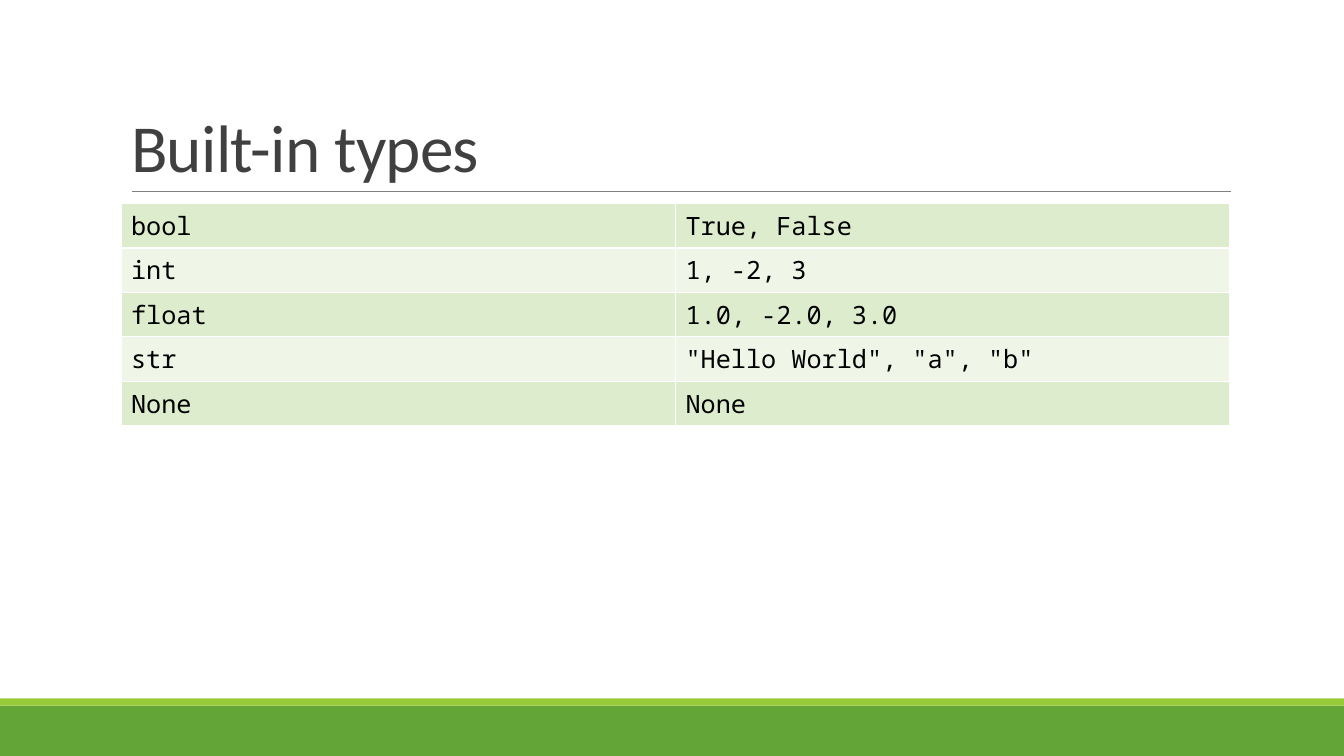
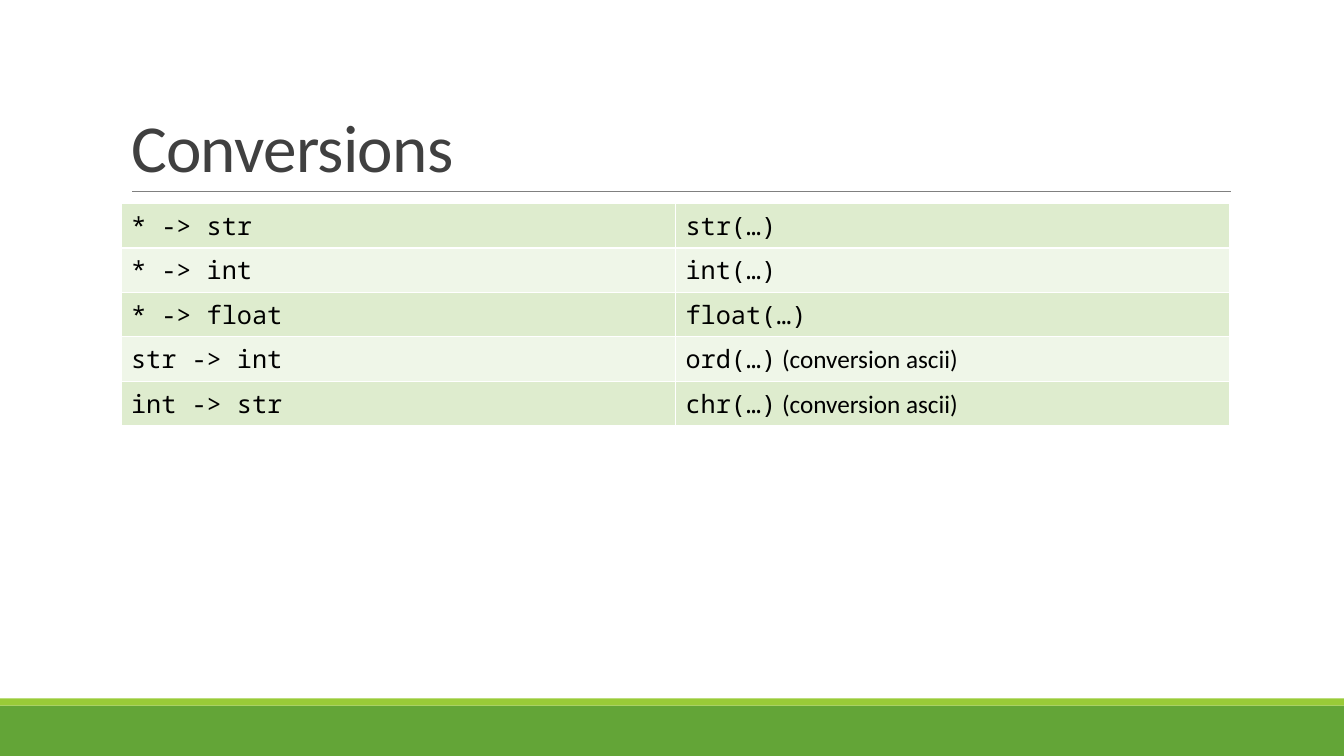
from dataclasses import dataclass
from itertools import product

from lxml.etree import SubElement
from pptx import Presentation
from pptx.dml.color import RGBColor
from pptx.enum.shapes import MSO_CONNECTOR, MSO_SHAPE
from pptx.enum.text import MSO_ANCHOR, MSO_AUTO_SIZE, PP_ALIGN
from pptx.oxml import parse_xml
from pptx.oxml.ns import nsdecls, qn
from pptx.slide import Slide
from pptx.table import _Cell
from pptx.text.text import _Paragraph
from pptx.util import Inches, Pt

COLORS = {
    "footer": "63A537",
    "accent": "99CB38",
    "rule": "808080",
    "title": "404040",
    "text": "000000",
    "row_dark": "DEECCE",
    "row_light": "EFF6E8",
    "border": "FFFFFF",
}
BODY_FONT = "Calibri"
CODE_FONT = "Noto Sans Mono"

SLIDE_WIDTH, SLIDE_HEIGHT = 13.33, 7.5
CONTENT_LEFT, CONTENT_WIDTH = 1.2, 11
TITLE_TOP, TITLE_HEIGHT = 0.31, 1.59
RULE_LEFT, RULE_RIGHT = 1.31, 12.21
RULE_TOP = TITLE_TOP + TITLE_HEIGHT
TABLE_TOP, ROW_HEIGHT = 2.02, 0.41


@dataclass(frozen=True)
class Band:
    top: float
    height: float
    color: str


@dataclass(frozen=True)
class Row:
    left: str
    right: str
    remark: str = ""


@dataclass(frozen=True)
class TableSlide:
    title: str
    rows: tuple[Row, ...]


BANDS = (Band(7, 0.5, "footer"), Band(6.93, 0.07, "accent"))

SLIDES = (
    TableSlide("Built-in types", (
        Row("bool", "True, False"),
        Row("int", "1, -2, 3"),
        Row("float", "1.0, -2.0, 3.0"),
        Row("str", '"Hello World", "a", "b"'),
        Row("None", "None"),
    )),
    TableSlide("Conversions", (
        Row("* -> str", "str(…)"),
        Row("* -> int", "int(…)"),
        Row("* -> float", "float(…)"),
        Row("str -> int", "ord(…)", " (conversion ascii)"),
        Row("int -> str", "chr(…)", " (conversion ascii)"),
    )),
)


def color(name: str) -> RGBColor:
    return RGBColor.from_string(COLORS[name])


def add_text(paragraph: _Paragraph, text: str, *, font: str = CODE_FONT,
             size: float = 18, color_name: str = "text", spacing: float = 0) -> None:
    run = paragraph.add_run()
    run.text = text
    run.font.name = font
    run.font.size = Pt(size)
    run.font.color.rgb = color(color_name)
    if spacing:
        run.font._element.set("spc", str(round(spacing * 100)))


def add_frame(slide: Slide) -> None:
    for band in BANDS:
        shape = slide.shapes.add_shape(
            MSO_SHAPE.RECTANGLE, 0, Inches(band.top), Inches(SLIDE_WIDTH), Inches(band.height))
        shape.shadow.inherit = False
        shape.fill.solid()
        shape.fill.fore_color.rgb = color(band.color)
        shape.line.fill.background()
    rule = slide.shapes.add_connector(
        MSO_CONNECTOR.STRAIGHT, Inches(RULE_LEFT), Inches(RULE_TOP),
        Inches(RULE_RIGHT), Inches(RULE_TOP))
    rule.line.color.rgb = color("rule")
    rule.line.width = Pt(0.5)
    SubElement(rule._element.spPr, qn("a:effectLst"))


def set_title(slide: Slide, text: str) -> None:
    title = slide.shapes.title
    title.left, title.top = Inches(CONTENT_LEFT), Inches(TITLE_TOP)
    title.width, title.height = Inches(CONTENT_WIDTH), Inches(TITLE_HEIGHT)
    frame = title.text_frame
    frame.word_wrap = True
    frame.auto_size = MSO_AUTO_SIZE.NONE
    frame.vertical_anchor = MSO_ANCHOR.BOTTOM
    paragraph = frame.paragraphs[0]
    paragraph.alignment = PP_ALIGN.LEFT
    paragraph.line_spacing = 0.85
    add_text(paragraph, text, font=BODY_FONT, size=48, color_name="title", spacing=-0.5)


def format_cell(cell: _Cell, fill_name: str) -> None:
    cell.fill.solid()
    cell.fill.fore_color.rgb = color(fill_name)
    properties = cell._tc.get_or_add_tcPr()
    for position, side in enumerate("LRTB"):
        properties.insert(position, parse_xml(
            f'<a:ln{side} {nsdecls("a")} w="{Pt(1)}"><a:solidFill>'
            f'<a:srgbClr val="{COLORS["border"]}"/></a:solidFill></a:ln{side}>'))


def add_rows(slide: Slide, rows: tuple[Row, ...]) -> None:
    table = slide.shapes.add_table(
        len(rows), 2, Inches(CONTENT_LEFT), Inches(TABLE_TOP),
        Inches(CONTENT_WIDTH), Inches(ROW_HEIGHT * len(rows))).table
    table.first_row = False
    table.horz_banding = False
    for (index, row), column in product(enumerate(rows), range(2)):
        cell = table.cell(index, column)
        format_cell(cell, "row_light" if index % 2 else "row_dark")
        paragraph = cell.text_frame.paragraphs[0]
        add_text(paragraph, (row.left, row.right)[column])
        if column == 1 and row.remark:
            add_text(paragraph, row.remark, font=BODY_FONT)


def main() -> None:
    presentation = Presentation()
    presentation.slide_width = Inches(SLIDE_WIDTH)
    presentation.slide_height = Inches(SLIDE_HEIGHT)
    title_only = presentation.slide_layouts.get_by_name("Title Only")
    for content in SLIDES:
        slide = presentation.slides.add_slide(title_only)
        add_frame(slide)
        set_title(slide, content.title)
        add_rows(slide, content.rows)
    presentation.save("out.pptx")


if __name__ == "__main__":
    main()
